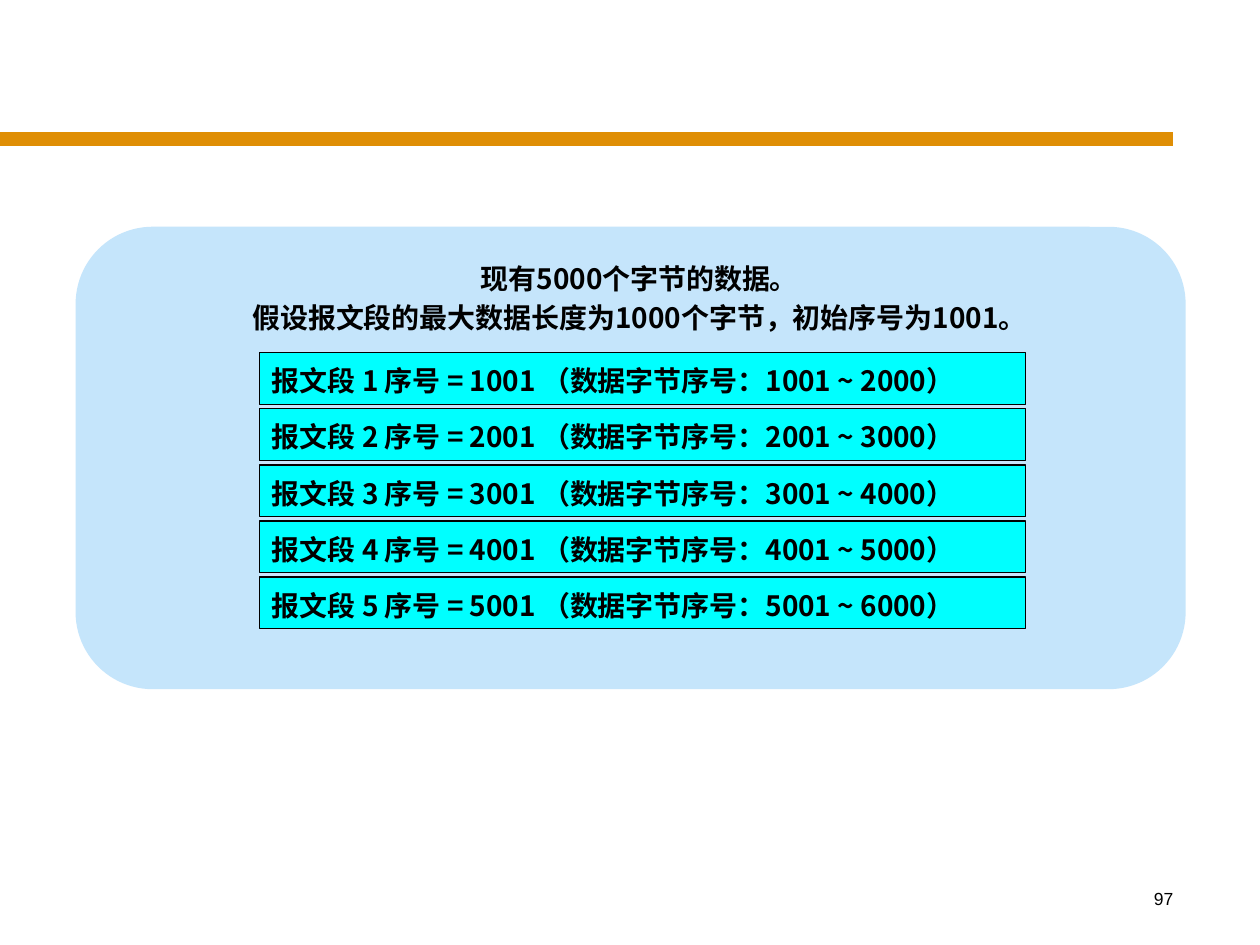
"""Build the slide on numbering TCP segments by data byte."""
from lxml import etree
from pptx import Presentation
from pptx import util as u
from pptx.dml.color import RGBColor
from pptx.enum import shapes, text
from pptx.oxml.ns import qn


def paint(color_format, value):
    """Set a colour from a hex string."""
    color_format.rgb = RGBColor.from_string(value)


class SlideBuilder:
    """Hold the style and the current slide."""

    ACCENT, PANEL, ROW, INK = "DF8E05", "C5E5FB", "00FFFF", "000000"
    BODY = {"name": "Noto Sans CJK SC", "size": u.Pt(16), "bold": True}
    NUMBER = {"name": "Arial", "size": u.Pt(10), "bold": False}

    def __init__(self, slide):
        """Keep the slide to draw on."""
        self.slide = slide

    def rule(self, x1, x2, y, width):
        """Draw a horizontal rule."""
        line = self.slide.shapes.add_connector(
            shapes.MSO_CONNECTOR.STRAIGHT, *map(u.Inches, (x1, y, x2, y)))
        paint(line.line.color, self.ACCENT)
        line.line.width = u.Pt(width)
        etree.SubElement(line._element.spPr, qn("a:effectLst"))

    def box(self, kind, bounds, fill, outline=None):
        """Draw a filled shape."""
        box = self.slide.shapes.add_shape(kind, *map(u.Inches, bounds))
        box.shadow.inherit = False
        box.fill.solid()
        paint(box.fill.fore_color, fill)
        if outline:
            paint(box.line.color, outline)
            box.line.width = u.Pt(0.75)
        else:
            box.line.fill.background()
        return box

    def label(self, bounds):
        """Add an empty text box."""
        return self.slide.shapes.add_textbox(*map(u.Inches, bounds))

    def set_text(self, holder, lines, align, style, spacing=None):
        """Put paragraphs into a shape or text box."""
        frame = holder.text_frame
        frame.word_wrap = True
        frame.vertical_anchor = text.MSO_ANCHOR.TOP
        if spacing:
            frame.auto_size = text.MSO_AUTO_SIZE.SHAPE_TO_FIT_TEXT
        frame.text = "\n".join(lines)
        for paragraph in frame.paragraphs:
            paragraph.alignment = align
            paragraph.line_spacing = spacing
            font = paragraph.runs[0].font
            for key, value in style.items():
                setattr(font, key, value)
            paint(font.color, self.INK)
            east_asian = etree.SubElement(font._element, qn("a:ea"))
            east_asian.set("typeface", style["name"])


def main():
    """Build and save the slide."""
    deck = Presentation()
    deck.slide_width, deck.slide_height = u.Inches(10), u.Inches(7.5)
    page = SlideBuilder(deck.slides.add_slide(deck.slide_layouts[6]))
    kinds, align = shapes.MSO_SHAPE, text.PP_ALIGN
    leading = u.Pt(22)

    page.rule(0, 9.31, 1.1, 8)
    page_number = page.label((7.33, 7, 2.08, 0.5))
    page.set_text(page_number, ["97"], align.RIGHT, page.NUMBER)

    page.box(kinds.ROUNDED_RECTANGLE, (0.6, 1.8, 8.81, 3.67), page.PANEL)
    premise = page.label((1.55, 1.99, 7.05, 0.72))
    page.set_text(premise, ["现有5000个字节的数据。",
                            "假设报文段的最大数据长度为1000个字节，初始序号为1001。"],
                  align.CENTER, page.BODY, leading)

    first_top, last_top, count = 2.8, 4.58, 5
    pitch = (last_top - first_top) / (count - 1)
    for index in range(count):
        number = index + 1
        start, end = number * 1000 + 1, (number + 1) * 1000
        segment = page.box(kinds.RECTANGLE, (2.06, first_top + index * pitch, 6.08, 0.41),
                           page.ROW, page.INK)
        page.set_text(segment,
                      [f"报文段 {number} 序号 = {start} （数据字节序号：{start} ~ {end}）"],
                      align.LEFT, page.BODY, leading)

    deck.save("out.pptx")


if __name__ == "__main__":
    main()
